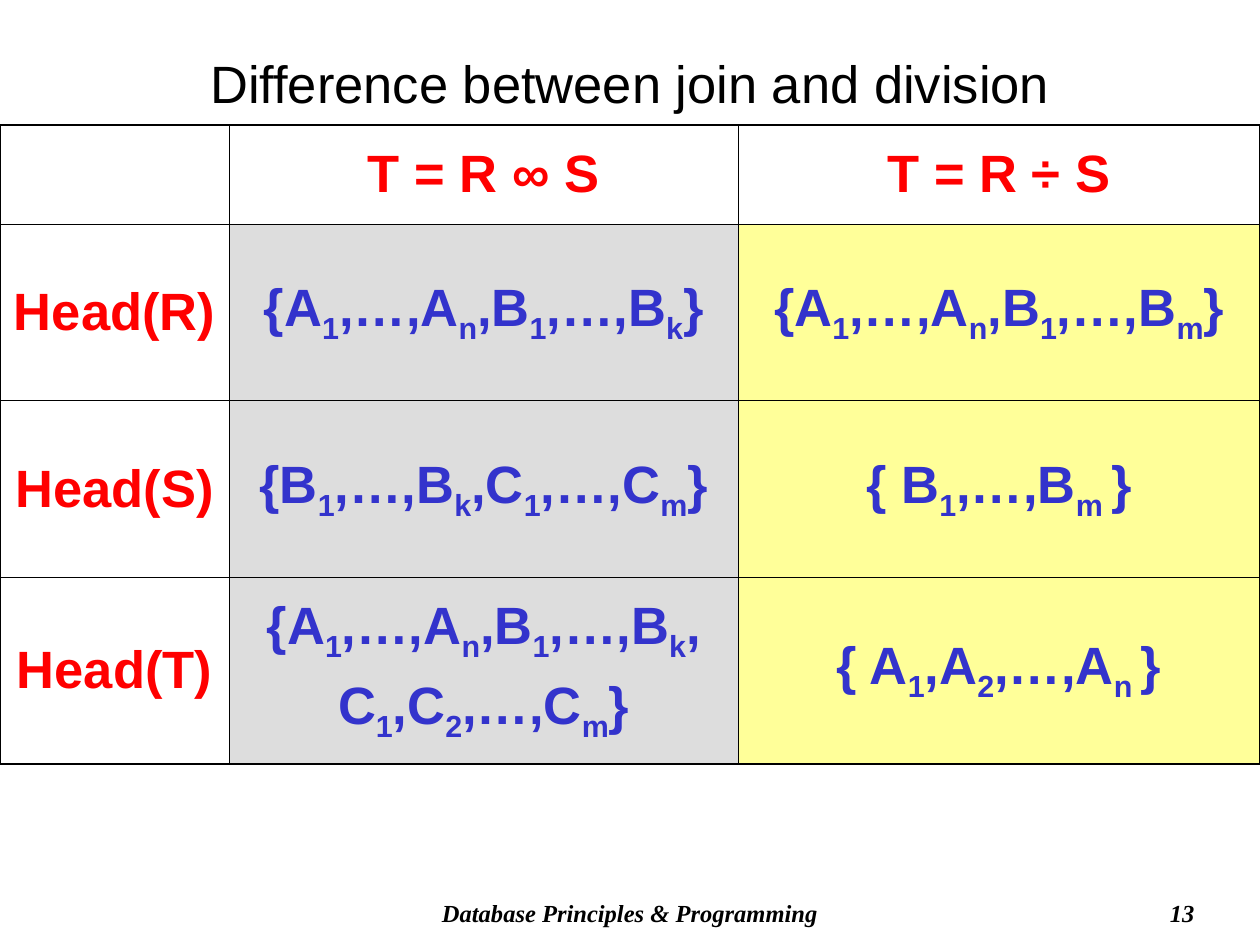
from lxml.etree import SubElement
from pptx import Presentation
from pptx.dml.color import RGBColor
from pptx.enum.text import MSO_ANCHOR as Anchor, MSO_AUTO_SIZE as AutoSize, PP_ALIGN as Align
from pptx.oxml.ns import qn
from pptx.util import Cm, Pt

COLORS = {"ink": "000000", "heading": "FF0000", "formula": "3333CC",
          "join": "DDDDDD", "division": "FFFF99"}
FORMATS = {
    "title": {"name": "Arial", "size": Pt(30), "bold": False},
    "cell": {"name": "Arial", "size": Pt(30), "bold": True},
    "footer": {"name": "Times New Roman", "size": Pt(14), "bold": True, "italic": True},
}
COLUMN_WIDTHS = [4.62, 10.26, 10.52]
ROW_HEIGHTS = [2, 3.56, 3.56, 3.76]
COLUMN_FILLS = [None, "join", "division"]
SUBSCRIPT_MARK = "|"
COMPARISON = [
    ["", "T = R ∞ S", "T = R ÷ S"],
    ["Head(R)", "{A|1|,…,A|n|,B|1|,…,B|k|}", "{A|1|,…,A|n|,B|1|,…,B|m|}"],
    ["Head(S)", "{B|1|,…,B|k|,C|1|,…,C|m|}", "{ B|1|,…,B|m |}"],
    ["Head(T)", "{A|1|,…,A|n|,B|1|,…,B|k|,\nC|1|,C|2|,…,C|m|}", "{ A|1|,A|2|,…,A|n |}"],
]


def rgb(color):
    return RGBColor.from_string(COLORS[color])


def write(frame, text, style, color, align=Align.CENTER):
    for number, line in enumerate(text.split("\n")):
        paragraph = frame.add_paragraph() if number else frame.paragraphs[0]
        paragraph.alignment = align
        paragraph.space_before = Pt(7.5 if number else 0)
        for position, piece in enumerate(line.split(SUBSCRIPT_MARK)):
            run = paragraph.add_run()
            run.text = piece
            for attribute, value in FORMATS[style].items():
                setattr(run.font, attribute, value)
            run.font.color.rgb = rgb(color)
            if position % 2:
                run._r.get_or_add_rPr().set("baseline", "-25000")


def set_borders(cell, outer_sides):
    properties = cell._tc.get_or_add_tcPr()
    for side in "LRTB":
        width = Pt(1.08 if side in outer_sides else 0.45)
        line = SubElement(properties, qn(f"a:ln{side}"), w=str(width))
        solid = SubElement(line, qn("a:solidFill"))
        SubElement(solid, qn("a:srgbClr"), val=COLORS["ink"])


def add_title(slide, left, top, width, height):
    title = slide.shapes.title
    title.left, title.top, title.width, title.height = map(Cm, (left, top, width, height))
    frame = title.text_frame
    frame.auto_size = AutoSize.NONE
    frame.vertical_anchor = Anchor.BOTTOM
    write(frame, "Difference between join and division", "title", "ink")


def add_comparison(slide, left, top):
    size = sum(COLUMN_WIDTHS), sum(ROW_HEIGHTS)
    table = slide.shapes.add_table(len(ROW_HEIGHTS), len(COLUMN_WIDTHS),
                                   *map(Cm, (left, top, *size))).table
    table.first_row = table.horz_banding = False
    for column, width in zip(table.columns, COLUMN_WIDTHS):
        column.width = Cm(width)
    for row, height in zip(table.rows, ROW_HEIGHTS):
        row.height = Cm(height)

    last_row, last_column = len(ROW_HEIGHTS) - 1, len(COLUMN_WIDTHS) - 1
    for r, texts in enumerate(COMPARISON):
        for c, text in enumerate(texts):
            cell = table.cell(r, c)
            cell.vertical_anchor = Anchor.MIDDLE
            cell.margin_left = cell.margin_right = Cm(0.2)
            edges = {"L": c == 0, "R": c == last_column, "T": r == 0, "B": r == last_row}
            set_borders(cell, [side for side, outer in edges.items() if outer])
            is_formula = r > 0 and c > 0
            if is_formula:
                cell.fill.solid()
                cell.fill.fore_color.rgb = rgb(COLUMN_FILLS[c])
            else:
                cell.fill.background()
            if text:
                write(cell.text_frame, text, "cell", "formula" if is_formula else "heading")


def add_footer(slide, left, top, width, height):
    parts = [("Database Principles & Programming", 0, 11, Align.CENTER),
             ("13", width - 5.28, 5.28, Align.RIGHT)]
    for text, offset, part_width, align in parts:
        box = slide.shapes.add_textbox(*map(Cm, (left + offset, top, part_width, height)))
        box.text_frame.word_wrap = True
        box.text_frame.vertical_anchor = Anchor.MIDDLE
        write(box.text_frame, text, "footer", "ink", align)


def main():
    deck = Presentation()
    deck.slide_width, deck.slide_height = Cm(25.4), Cm(19.05)
    slide = deck.slides.add_slide(deck.slide_layouts.get_by_name("Title Only"))
    add_footer(slide, 7.2, 17.98, 17.13, 0.84)
    add_comparison(slide, 0, 2.52)
    add_title(slide, 0, 0.91, 25.4, 1.52)
    deck.save("out.pptx")


if __name__ == "__main__":
    main()
